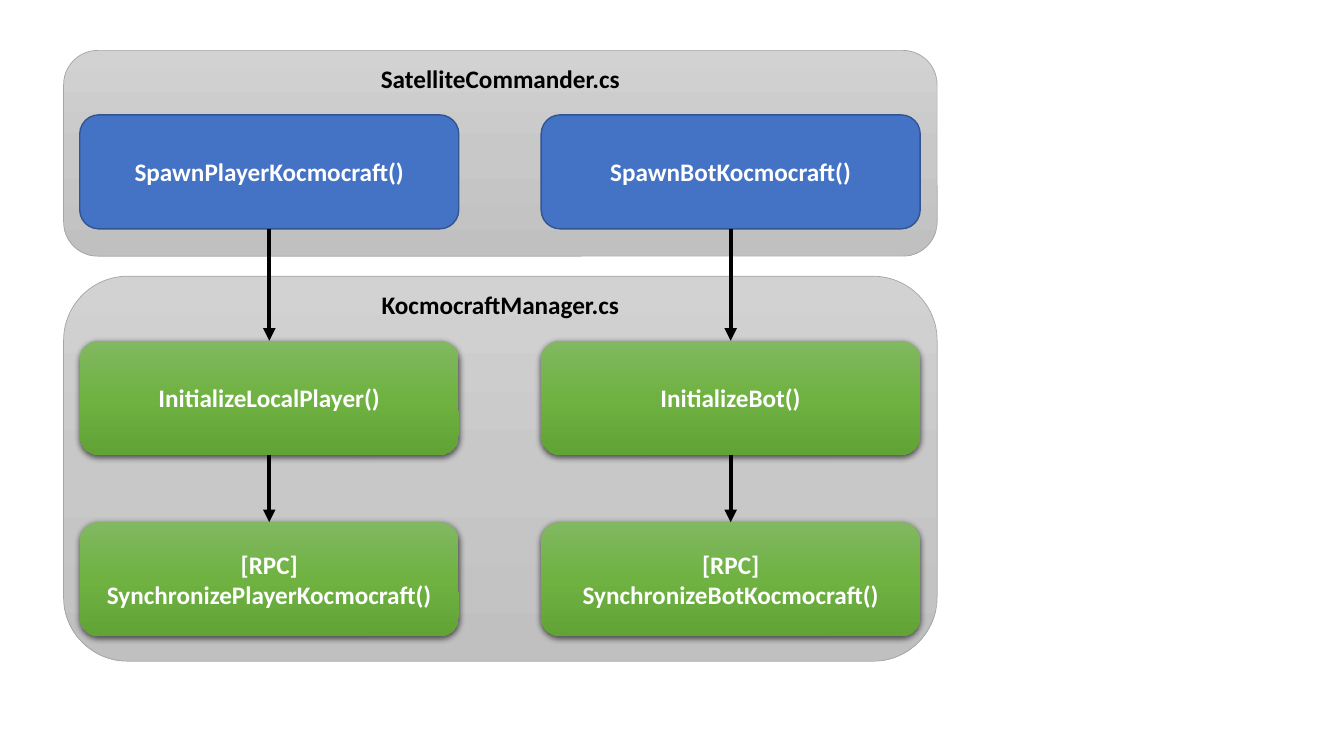
from itertools import pairwise

from lxml import etree
from pptx import Presentation
from pptx import util as u
from pptx.dml.color import RGBColor
from pptx.enum import shapes, text
from pptx.oxml import ns

Pt = u.Pt
COLORS = {
    "panel": ["D2D2D2", "C8C8C8", "C0C0C0"], "panel_edge": "A5A5A5",
    "spawn": "4472C4", "spawn_edge": "325491",
    "manager": ["81B861", "6FB242", "62A336"],
    "heading": "000000", "label": "FFFFFF", "arrow": "000000", "shadow": "000000",
}
PANEL_LEFT, PANEL_WIDTH = 45.4, 624
BOX_WIDTH, BOX_HEIGHT = 270.7, 81.4
HEADING_WIDTH, HEADING_HEIGHT, HEADING_DROP = 186.5, 29, 5.8
ROW_TOPS = [82.1, 243.4, 373]
PANELS = [("KocmocraftManager.cs", 197.3, 275), ("SatelliteCommander.cs", 36, 147)]
CALL_CHAINS = [
    (57, ["SpawnPlayerKocmocraft()", "InitializeLocalPlayer()",
          "[RPC] SynchronizePlayerKocmocraft()"]),
    (386.6, ["SpawnBotKocmocraft()", "InitializeBot()",
             "[RPC] SynchronizeBotKocmocraft()"]),
]


def add_xml(parent, tag, **attributes):
    """Append a DrawingML child element and return it."""
    return etree.SubElement(parent, ns.qn(tag), attributes)


class Diagram:
    """Holds the style and the current slide."""

    font_name, font_size = "Calibri", 18

    def __init__(self, slide):
        """Keep the slide to draw on."""
        self.slide = slide

    def add_label(self, frame, wording, color):
        """Put one centred bold run in a text frame."""
        paragraph = frame.paragraphs[0]
        paragraph.alignment = text.PP_ALIGN.CENTER
        run = paragraph.add_run()
        run.text = wording
        run.font.name, run.font.size = self.font_name, Pt(self.font_size)
        run.font.bold = True
        run.font.color.rgb = RGBColor.from_string(COLORS[color])

    def paint(self, shape, color):
        """Fill a shape with a plain colour or a downward gradient."""
        tones = COLORS[color]
        if isinstance(tones, str):
            shape.fill.solid()
            shape.fill.fore_color.rgb = RGBColor.from_string(tones)
            return
        shape.fill.gradient()
        shape.fill.gradient_angle = 270
        stops = next(shape._element.spPr.iter(ns.qn("a:gsLst")))
        for stop in list(stops):
            stops.remove(stop)
        for position, tone in zip((0, 50000, 100000), tones):
            add_xml(add_xml(stops, "a:gs", pos=str(position)), "a:srgbClr", val=tone)

    def rounded(self, left, top, width, height, color, edge=None, edge_width=1):
        """Add a rounded rectangle without a shadow."""
        shape = self.slide.shapes.add_shape(
            shapes.MSO_SHAPE.ROUNDED_RECTANGLE, Pt(left), Pt(top), Pt(width), Pt(height))
        shape.shadow.inherit = False
        self.paint(shape, color)
        if edge:
            shape.line.color.rgb = RGBColor.from_string(COLORS[edge])
            shape.line.width = Pt(edge_width)
        else:
            shape.line.fill.background()
        return shape

    def cast_shadow(self, shape):
        """Give a shape a soft shadow straight below it."""
        effects = shape._element.spPr.find(ns.qn("a:effectLst"))
        shadow = add_xml(effects, "a:outerShdw", blurRad=str(Pt(4.5)), dist=str(Pt(1.5)),
                         dir="5400000", algn="ctr", rotWithShape="0")
        tone = add_xml(shadow, "a:srgbClr", val=COLORS["shadow"])
        add_xml(tone, "a:alpha", val="63000")

    def panel(self, file_name, top, height):
        """Add a source-file panel with its heading."""
        self.rounded(PANEL_LEFT, top, PANEL_WIDTH, height, "panel", "panel_edge", 0.5)
        heading = self.slide.shapes.add_textbox(
            Pt(PANEL_LEFT + (PANEL_WIDTH - HEADING_WIDTH) / 2), Pt(top + HEADING_DROP),
            Pt(HEADING_WIDTH), Pt(HEADING_HEIGHT))
        heading.text_frame.word_wrap = False
        heading.text_frame.auto_size = text.MSO_AUTO_SIZE.SHAPE_TO_FIT_TEXT
        self.add_label(heading.text_frame, file_name, "heading")

    def method_box(self, left, top, call, is_spawn):
        """Add a method box: flat for spawning, shaded for the manager."""
        style = ("spawn", "spawn_edge") if is_spawn else ("manager",)
        box = self.rounded(left, top, BOX_WIDTH, BOX_HEIGHT, *style)
        if not is_spawn:
            self.cast_shadow(box)
        box.text_frame.word_wrap = True
        box.text_frame.vertical_anchor = text.MSO_ANCHOR.MIDDLE
        self.add_label(box.text_frame, call, "label")
        return box

    def arrow(self, caller, callee):
        """Connect the bottom of one box to the top of the next."""
        arrow = self.slide.shapes.add_connector(shapes.MSO_CONNECTOR.STRAIGHT, 0, 0, 0, 0)
        arrow.begin_connect(caller, 2)
        arrow.end_connect(callee, 0)
        arrow.line.color.rgb = RGBColor.from_string(COLORS["arrow"])
        arrow.line.width = Pt(3)
        add_xml(arrow.line._get_or_add_ln(), "a:tailEnd", type="triangle")
        add_xml(arrow._element.spPr, "a:effectLst")


def main():
    """Build the call diagram and save it."""
    deck = Presentation()
    deck.slide_width, deck.slide_height = Pt(960), Pt(540)
    diagram = Diagram(deck.slides.add_slide(deck.slide_layouts[6]))
    for file_name, top, height in PANELS:
        diagram.panel(file_name, top, height)
    for left, calls in CALL_CHAINS:
        boxes = [diagram.method_box(left, top, call, row == 0)
                 for row, (top, call) in enumerate(zip(ROW_TOPS, calls))]
        for caller, callee in pairwise(boxes):
            diagram.arrow(caller, callee)
    deck.save("out.pptx")


main()
